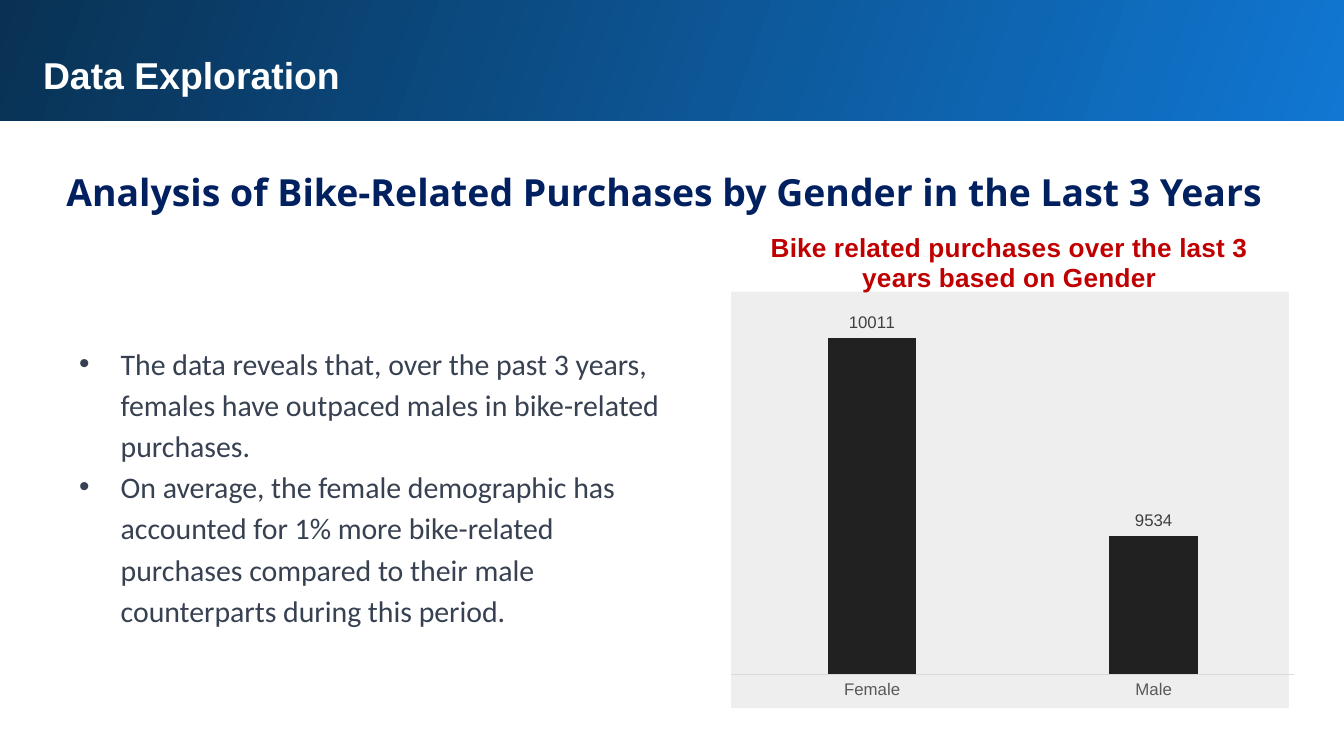
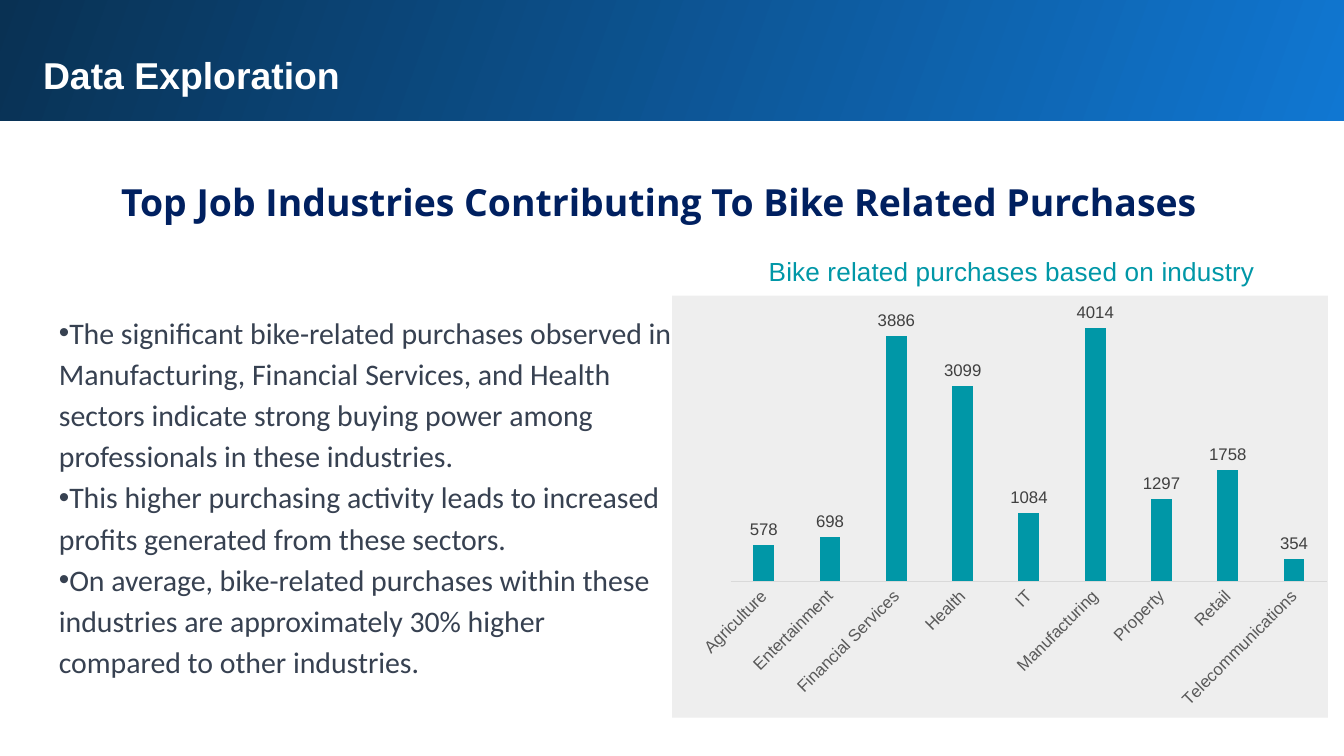
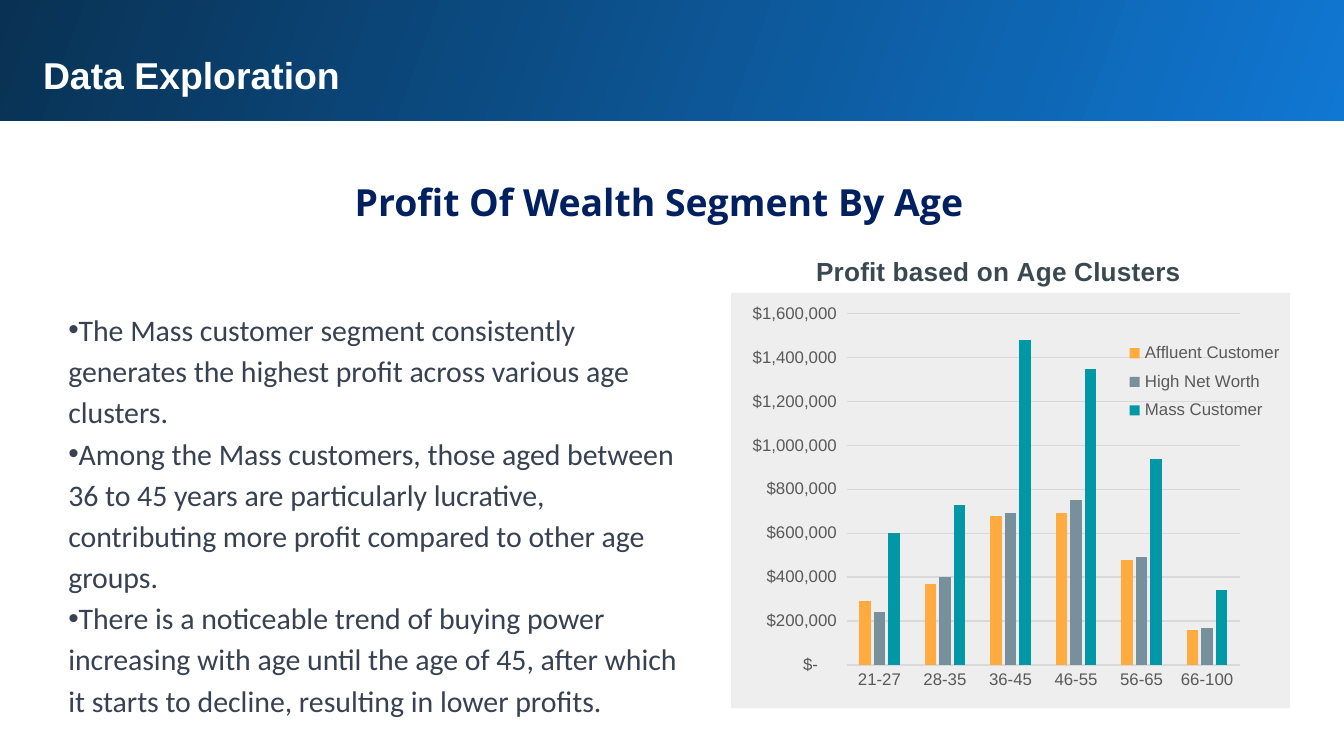
"""Build three data exploration slides, each with bullet points and a column chart."""
from dataclasses import dataclass

from lxml import etree
from pptx import Presentation
from pptx import util as u
from pptx.chart import data as chart_data
from pptx.dml import color
from pptx.enum import chart as charts
from pptx.enum import shapes, text
from pptx.oxml import ns, parse_xml

NAVY, BODY, WHITE, PANEL = "002060", "374151", "FFFFFF", "EEEEEE"
BAND_LIGHT, BAND_DARK = "1077D2", "093153"
TEAL, RED, SLATE, BLACK = "0097A7", "C00000", "3A4950", "212121"
ORANGE, STEEL = "FFAB40", "78909C"
AXIS_TEXT, LABEL_TEXT, RULE = "595959", "404040", "D9D9D9"
DOLLARS = (r'_-[$$-409]* #,##0_ ;_-[$$-409]* \-#,##0\ ;'
           r'_-[$$-409]* "-"??_ ;_-@_ ')

Box = tuple[float, float, float, float]


@dataclass(frozen=True)
class Series:
    name: str
    values: tuple[float, ...]
    fill: str


@dataclass(frozen=True)
class ColumnChart:
    box: Box
    title: str
    title_color: str
    title_bold: bool
    title_at: tuple[float, float]
    plot: Box
    scale: tuple[float, float, float]
    categories: tuple[str, ...]
    series: tuple[Series, ...]
    overlap: int = 0
    label_rotation: int = 0
    show_values: bool = True
    legend: Box | None = None


@dataclass(frozen=True)
class Exploration:
    heading: str
    heading_at: tuple[float, float]
    bullets: tuple[str, ...]
    bullet_box: Box
    hanging: float
    panel: Box
    chart: ColumnChart


def rgb(value: str) -> color.RGBColor:
    """Turn a hex string into a colour."""
    return color.RGBColor.from_string(value)


def inches(box: Box) -> list[u.Length]:
    """Convert left, top, width and height to lengths."""
    return [u.Inches(value) for value in box]


def style_font(font, size: float, fill: str, name: str = "Arial",
               bold: bool = False) -> None:
    """Set size, colour, typeface and weight."""
    font.size, font.name, font.bold = u.Pt(size), name, bold
    font.color.rgb = rgb(fill)


def add_run(paragraph, words: str, size: float, fill: str, name: str,
            bold: bool = False) -> None:
    """Append one formatted run."""
    run = paragraph.add_run()
    run.text = words
    style_font(run.font, size, fill, name, bold)


def prepare_frame(frame) -> None:
    """Give a text frame the shared wrapping, anchor and margins."""
    frame.word_wrap = True
    frame.auto_size = text.MSO_AUTO_SIZE.SHAPE_TO_FIT_TEXT
    frame.vertical_anchor = text.MSO_ANCHOR.TOP
    frame.margin_left = frame.margin_right = u.Inches(0.1)
    frame.margin_top = frame.margin_bottom = u.Inches(0.1)


def add_rectangle(slide, box: Box):
    """Add a rectangle without outline or shadow."""
    shape = slide.shapes.add_shape(shapes.MSO_SHAPE.RECTANGLE, *inches(box))
    shape.shadow.inherit = False
    shape.line.fill.background()
    return shape


def add_band_title(slide) -> None:
    """Draw the gradient band and put the slide title on it."""
    band = add_rectangle(slide, (-0.02, -0.02, 10.05, 0.92))
    band.fill.gradient()
    band.fill.gradient_angle = 160
    for stop, position, value in zip(band.fill.gradient_stops, (0, 1),
                                     (BAND_LIGHT, BAND_DARK)):
        stop.position = position
        stop.color.rgb = rgb(value)
    title = slide.shapes.title
    title.left, title.top, title.width, title.height = inches(
        (0.22, 0.29, 9.37, 0.51))
    prepare_frame(title.text_frame)
    paragraph = title.text_frame.paragraphs[0]
    paragraph.alignment = text.PP_ALIGN.LEFT
    add_run(paragraph, "Data Exploration", 20, WHITE, "Arial", True)
    band.element.addnext(title.element)


def add_heading(slide, words: str, at: tuple[float, float]) -> None:
    """Add the centred heading below the band."""
    frame = slide.shapes.add_textbox(*inches((*at, 9.37, 0.56))).text_frame
    prepare_frame(frame)
    paragraph = frame.paragraphs[0]
    paragraph.alignment = text.PP_ALIGN.CENTER
    paragraph.line_spacing = 1.15
    add_run(paragraph, words, 20, NAVY, "Open Sans", True)


def add_bullets(slide, bullets: tuple[str, ...], box: Box,
                hanging: float) -> None:
    """Add the bulleted findings."""
    frame = slide.shapes.add_textbox(*inches(box)).text_frame
    prepare_frame(frame)
    for index, words in enumerate(bullets):
        paragraph = frame.add_paragraph() if index else frame.paragraphs[0]
        paragraph.line_spacing = 1.15
        add_run(paragraph, words, 16, BODY, "Calibri")
        properties = paragraph._p.get_or_add_pPr()
        properties.set("marL", str(u.Inches(hanging)))
        properties.set("indent", str(-u.Inches(hanging)))
        etree.SubElement(properties, ns.qn("a:buFont"), typeface="Arial")
        etree.SubElement(properties, ns.qn("a:buChar"), char="•")


def set_layout(element, index: int, mode: str, **fractions: float) -> None:
    """Place a chart part by fractions of the chart size."""
    layout = element.find(ns.qn("c:layout"))
    if layout is None:
        layout = parse_xml(f"<c:layout {ns.nsdecls('c')}/>")
        element.insert(index, layout)
    manual = etree.SubElement(layout, ns.qn("c:manualLayout"))
    if mode == "inner":
        etree.SubElement(manual, ns.qn("c:layoutTarget"), val=mode)
    for axis in "xy":
        etree.SubElement(manual, ns.qn(f"c:{axis}Mode"), val="edge")
    for name, value in fractions.items():
        etree.SubElement(manual, ns.qn(f"c:{name}"), val=str(value))


def clear_background(chart) -> None:
    """Make the chart and its plot area transparent."""
    blank = (f"<c:spPr {ns.nsdecls('c', 'a')}><a:noFill/>"
             "<a:ln><a:noFill/></a:ln></c:spPr>")
    body = chart.element.find(ns.qn("c:chart"))
    body.addnext(parse_xml(blank))
    body.find(ns.qn("c:plotArea")).append(parse_xml(blank))


def style_axes(chart, design: ColumnChart) -> None:
    """Format the category axis and the value axis."""
    category, value = chart.category_axis, chart.value_axis
    category.major_tick_mark = charts.XL_TICK_MARK.NONE
    category.format.line.color.rgb = rgb(RULE)
    category.format.line.width = u.Pt(0.75)
    style_font(category.tick_labels.font, 9, AXIS_TEXT)
    if design.label_rotation:
        body = category._element.find(
            f"{ns.qn('c:txPr')}/{ns.qn('a:bodyPr')}")
        body.set("rot", str(design.label_rotation * 60000))
        body.set("vert", "horz")
    value.minimum_scale, value.maximum_scale, value.major_unit = design.scale
    value.has_major_gridlines = not design.show_values
    value.visible = not design.show_values
    if value.visible:
        value.major_tick_mark = charts.XL_TICK_MARK.NONE
        value.format.line.fill.background()
        value.major_gridlines.format.line.color.rgb = rgb(RULE)
        value.major_gridlines.format.line.width = u.Pt(0.75)
        value.tick_labels.number_format = DOLLARS
        value.tick_labels.number_format_is_linked = False
        style_font(value.tick_labels.font, 9, AXIS_TEXT)


def add_column_chart(slide, design: ColumnChart) -> None:
    """Add a clustered column chart."""
    data = chart_data.CategoryChartData()
    data.categories = design.categories
    for series in design.series:
        data.add_series(series.name, series.values)
    chart = slide.shapes.add_chart(
        charts.XL_CHART_TYPE.COLUMN_CLUSTERED, *inches(design.box), data).chart
    style_font(chart.font, 10, "000000")
    clear_background(chart)

    chart.has_title = True
    title = chart.chart_title
    title.include_in_layout = False
    add_run(title.text_frame.paragraphs[0], design.title, 14,
            design.title_color, "Arial", design.title_bold)
    x, y = design.title_at
    set_layout(title._element, 1, "edge", x=x, y=y)

    x, y, width, height = design.plot
    plot_area = chart.element.find(f".//{ns.qn('c:plotArea')}")
    set_layout(plot_area, 0, "inner", x=x, y=y, w=width, h=height)
    style_axes(chart, design)

    plot = chart.plots[0]
    plot.gap_width, plot.overlap = 219, design.overlap
    plot.vary_by_categories = False
    for series, source in zip(plot.series, design.series):
        series.format.fill.solid()
        series.format.fill.fore_color.rgb = rgb(source.fill)
        series.invert_if_negative = False
        if design.show_values:
            labels = series.data_labels
            labels.show_value = True
            labels.position = charts.XL_LABEL_POSITION.OUTSIDE_END
            style_font(labels.font, 9, LABEL_TEXT)

    chart.has_legend = design.legend is not None
    if design.legend:
        legend = chart.legend
        legend.position = charts.XL_LEGEND_POSITION.RIGHT
        legend.include_in_layout = False
        style_font(legend.font, 9, AXIS_TEXT)
        x, y, width, height = design.legend
        set_layout(legend._element, 1, "edge", x=x, y=y, w=width, h=height)


def add_exploration(presentation, content: Exploration) -> None:
    """Add one complete slide."""
    slide = presentation.slides.add_slide(presentation.slide_layouts[5])
    add_band_title(slide)
    add_heading(slide, content.heading, content.heading_at)
    add_bullets(slide, content.bullets, content.bullet_box, content.hanging)
    panel = add_rectangle(slide, content.panel)
    panel.fill.solid()
    panel.fill.fore_color.rgb = rgb(PANEL)
    add_column_chart(slide, content.chart)


EXPLORATIONS = (
    Exploration(
        "Analysis of Bike-Related Purchases by Gender in the Last 3 Years",
        (0.26, 1.11),
        ("The data reveals that, over the past 3 years, females have outpaced "
         "males in bike-related purchases.",
         "On average, the female demographic has accounted for 1% more "
         "bike-related purchases compared to their male counterparts during "
         "this period."),
        (0.49, 2.43, 4.65, 2.35), 0.31, (5.44, 2.17, 4.15, 3.1),
        ColumnChart(
            (5.14, 1.53, 4.65, 3.81),
            "Bike related purchases over the last 3 years based on Gender",
            RED, True, (0.12, 0.04), (0.065, 0.187, 0.901, 0.729),
            (9200, 10100, 100), ("Female", "Male"),
            (Series("Series 1", (10011, 9534), BLACK),))),
    Exploration(
        "Top Job Industries Contributing To Bike Related Purchases",
        (0.22, 1.18),
        ("The significant bike-related purchases observed in Manufacturing, "
         "Financial Services, and Health sectors indicate strong buying power "
         "among professionals in these industries.",
         "This higher purchasing activity leads to increased profits "
         "generated from these sectors.",
         "On average, bike-related purchases within these industries are "
         "approximately 30% higher compared to other industries."),
        (0.34, 2.2, 4.77, 2.97), 0, (5, 2.2, 4.88, 3.14),
        ColumnChart(
            (5.21, 1.75, 4.67, 3.69),
            "Bike related purchases based on industry",
            TEAL, False, (0.1, 0.03), (0.047, 0.125, 0.953, 0.573),
            (0, 4500, 500),
            ("Agriculture", "Entertainment", "Financial Services", "Health",
             "IT", "Manufacturing", "Property", "Retail",
             "Telecommunications"),
            (Series("Series 1", (578, 698, 3886, 3099, 1084, 4014, 1297, 1758,
                                 354), TEAL),),
            overlap=-27, label_rotation=-45)),
    Exploration(
        "Profit Of Wealth Segment By Age", (0.22, 1.18),
        ("The Mass customer segment consistently generates the highest profit "
         "across various age clusters.",
         "Among the Mass customers, those aged between 36 to 45 years are "
         "particularly lucrative, contributing more profit compared to other "
         "age groups.",
         "There is a noticeable trend of buying power increasing with age "
         "until the age of 45, after which it starts to decline, resulting in "
         "lower profits."),
        (0.41, 2.18, 4.84, 3.28), 0, (5.44, 2.18, 4.16, 3.09),
        ColumnChart(
            (5.41, 1.75, 4.18, 3.52), "Profit based on Age Clusters",
            SLATE, True, (0.15, 0.03), (0.213, 0.166, 0.7, 0.743),
            (0, 1600000, 200000),
            ("21-27", "28-35", "36-45", "46-55", "56-65", "66-100"),
            (Series("Affluent Customer", (290000, 370000, 680000, 690000,
                                          480000, 160000), ORANGE),
             Series("High Net Worth", (240000, 400000, 690000, 750000, 490000,
                                       170000), STEEL),
             Series("Mass Customer", (600000, 730000, 1480000, 1350000,
                                      940000, 340000), TEAL)),
            overlap=-27, show_values=False, legend=(0.71, 0.21, 0.28, 0.2))),
)


def main() -> None:
    """Build and save the presentation."""
    presentation = Presentation()
    presentation.slide_width = u.Inches(10)
    presentation.slide_height = u.Inches(10) * 9 // 16
    for content in EXPLORATIONS:
        add_exploration(presentation, content)
    presentation.save("out.pptx")


main()
